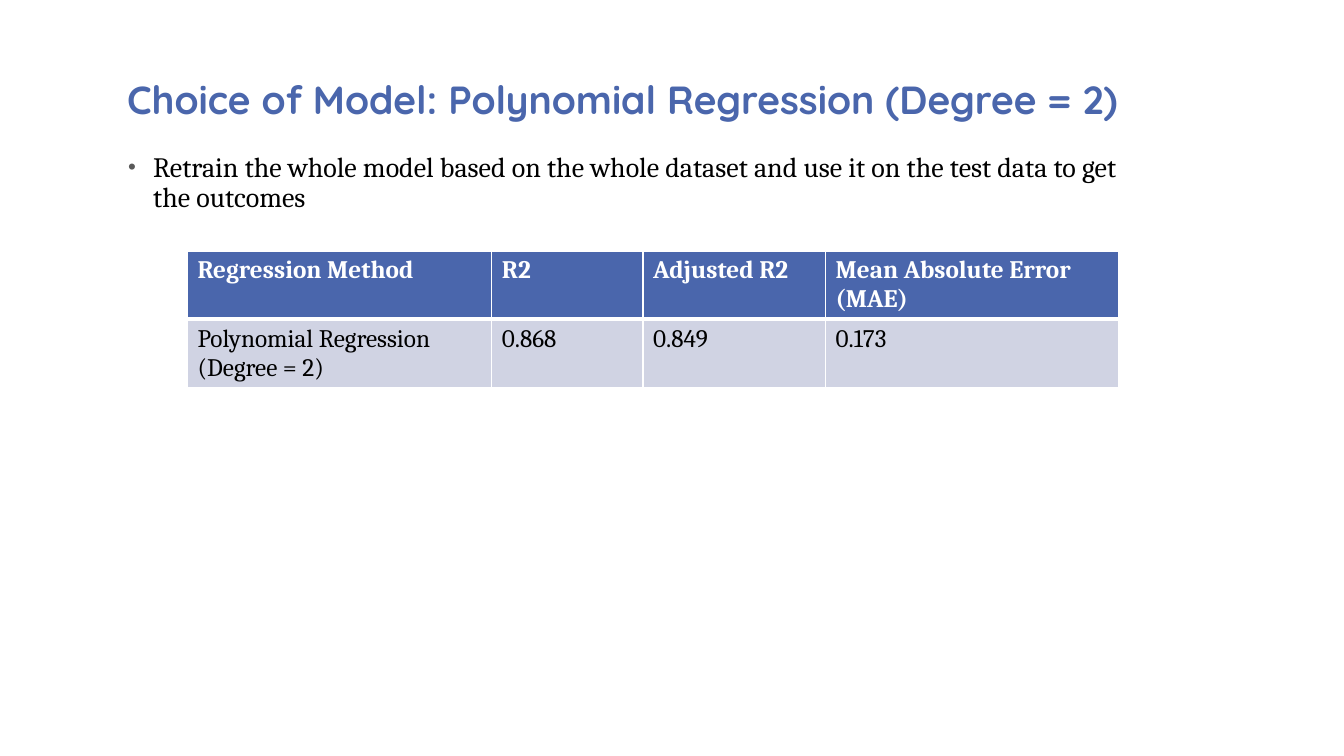
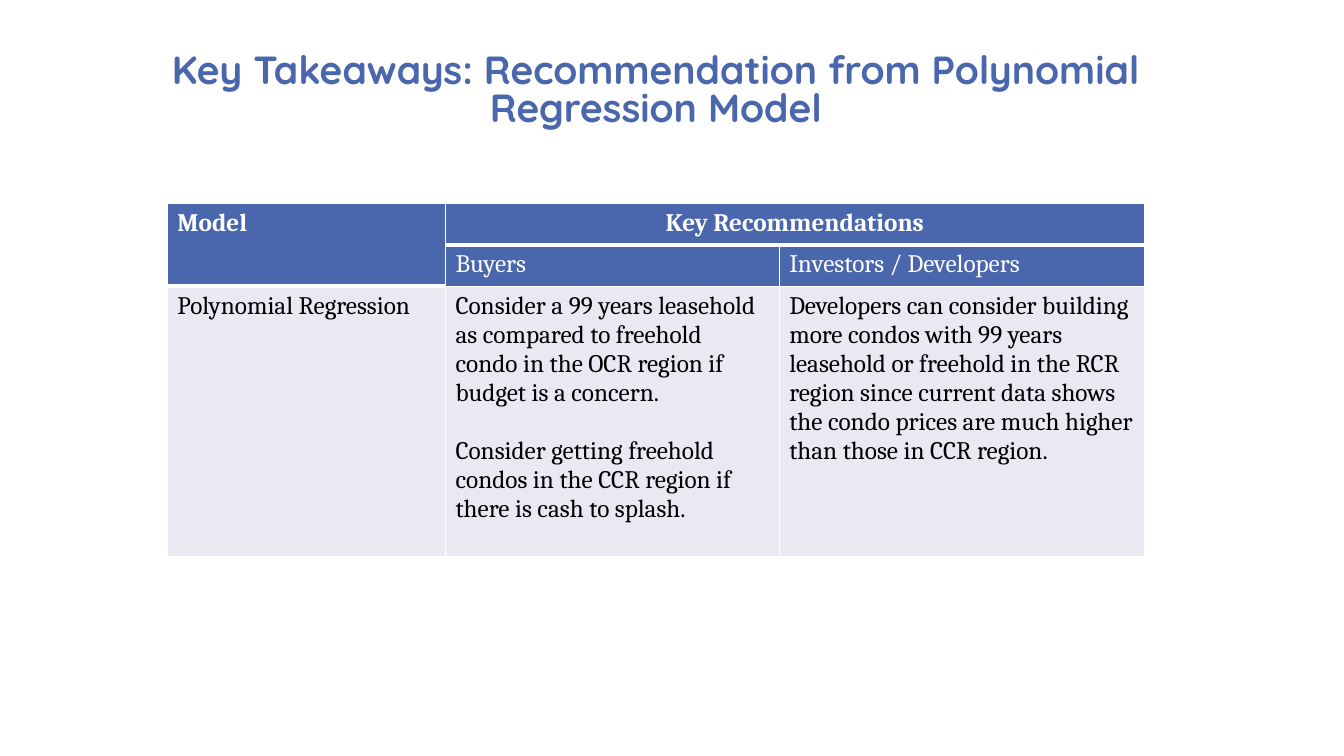
from lxml import etree
from pptx import Presentation
from pptx.dml.color import RGBColor
from pptx.enum.text import MSO_ANCHOR, MSO_AUTO_SIZE, PP_ALIGN
from pptx.oxml.ns import qn
from pptx.util import Inches, Pt

LEFT, CENTER = PP_ALIGN.LEFT, PP_ALIGN.CENTER
BOTTOM, TOP = MSO_ANCHOR.BOTTOM, MSO_ANCHOR.TOP
NO_FIT = MSO_AUTO_SIZE.NONE

COLORS = {
    "accent": "4A66AC",
    "white": "FFFFFF",
    "text": "000000",
    "bullet": "595959",
    "band_dark": "D0D3E3",
    "band_light": "E9EAF1",
}
TITLE = {"name": "Quicksand", "size": Pt(28), "bold": True}
BODY = {"name": "Cambria", "size": Pt(20), "bold": False}
CELL = {"name": "Cambria", "size": Pt(18), "bold": False}
HEADING = {**CELL, "bold": True}
THIN, THICK = Pt(1), Pt(3)

prs = Presentation()
prs.slide_width, prs.slide_height = Inches(13.33), Inches(7.5)
COL, ROW = prs.slide_width / 100, prs.slide_height / 100
TITLE_AND_CONTENT, TITLE_ONLY = prs.slide_layouts[1], prs.slide_layouts[5]


def style(paragraph, font_values, color, align=LEFT):
    paragraph.alignment = align
    for run in paragraph.runs:
        for attribute, value in font_values.items():
            setattr(run.font, attribute, value)
        run.font.color.rgb = RGBColor.from_string(COLORS[color])


def place(placeholder, box, text, anchor):
    """Put a placeholder at a box given in percent of the slide and fill in its text."""
    left, top, width, height = box
    placeholder.left, placeholder.top = int(left * COL), int(top * ROW)
    placeholder.width, placeholder.height = int(width * COL), int(height * ROW)
    frame = placeholder.text_frame
    frame.text = text
    frame.auto_size, frame.vertical_anchor = NO_FIT, anchor
    return frame.paragraphs[0]


# Boxes, columns and rows are in percent of the slide's width and height.
SLIDES = [
    {
        "layout": TITLE_AND_CONTENT,
        "title": "Choice of Model: Polynomial Regression (Degree = 2)",
        "title_box": (8.7, 7.73, 77.87, 9.07),
        "align": LEFT,
        "bullet": "Retrain the whole model based on the whole dataset and use it "
                  "on the test data to get the outcomes",
        "corner": (13.95, 33.2),
        "columns": (22.65, 11.25, 13.58, 21.83),
        "rows": (8.93, 8.93),
        "cells": [
            ["Regression Method", "R2", "Adjusted R2", "Mean Absolute Error\n(MAE)"],
            ["Polynomial Regression\n(Degree = 2)", "0.868", "0.849", "0.173"],
        ],
        "band": "band_dark",
        "header_rows": 1,
        "merges": [],
        "centered": [],
        "gap": Pt(0),
    },
    {
        "layout": TITLE_ONLY,
        "title": "Key Takeaways: Recommendation from Polynomial Regression Model",
        "title_box": (6.9, 6.53, 83.8, 11.33),
        "align": CENTER,
        "corner": (12.45, 26.93),
        "columns": (20.7, 24.83, 27.16),
        "rows": (5.47, 5.47, 35.73),
        "cells": [
            ["Model", "Key Recommendations", ""],
            ["", "Buyers", "Investors / Developers"],
            [
                "Polynomial Regression",
                "Consider a 99 years leasehold as compared to freehold condo in the "
                "OCR region if budget is a concern.\n"
                "Consider getting freehold condos in the CCR region if there is cash "
                "to splash.",
                "Developers can consider building more condos with 99 years leasehold "
                "or freehold in the RCR region since current data shows the condo "
                "prices are much higher than those in CCR region.",
            ],
        ],
        "band": "band_light",
        "header_rows": 2,
        "merges": [((0, 0), (1, 0)), ((0, 1), (0, 2))],
        "centered": ["Key Recommendations"],
        "gap": Pt(21),
    },
]

for content in SLIDES:
    slide = prs.slides.add_slide(content["layout"])
    heading = place(slide.shapes.title, content["title_box"], content["title"], BOTTOM)
    heading.line_spacing = 0.8
    style(heading, TITLE, "accent", content["align"])

    if "bullet" in content:
        point = place(slide.placeholders[1], (8.4, 19.6, 77.87, 10.53), content["bullet"], TOP)
        point.line_spacing, point.space_before = 0.9, Pt(0)
        properties = point._p.get_or_add_pPr()
        properties.set("marL", str(Inches(0.3)))
        properties.set("indent", str(Inches(-0.25)))
        bullet_color = etree.SubElement(properties, qn("a:buClr"))
        etree.SubElement(bullet_color, qn("a:srgbClr"), val=COLORS["bullet"])
        etree.SubElement(properties, qn("a:buSzPct"), val="80000")
        etree.SubElement(properties, qn("a:buChar"), char="•")
        style(point, BODY, "text")

    columns, rows = content["columns"], content["rows"]
    left, top = content["corner"]
    table = slide.shapes.add_table(
        len(rows), len(columns), int(left * COL), int(top * ROW),
        int(sum(columns) * COL), int(sum(rows) * ROW)).table
    table.first_row = table.horz_banding = False
    for column, share in zip(table.columns, columns):
        column.width = int(share * COL)
    for row, share in zip(table.rows, rows):
        row.height = int(share * ROW)
    for first, last in content["merges"]:
        table.cell(*first).merge(table.cell(*last))

    for r, texts in enumerate(content["cells"]):
        in_header = r < content["header_rows"]
        for c, text in enumerate(texts):
            cell = table.cell(r, c)
            cell.text = text
            cell.fill.solid()
            fill = "accent" if in_header else content["band"]
            cell.fill.fore_color.rgb = RGBColor.from_string(COLORS[fill])
            for number, paragraph in enumerate(cell.text_frame.paragraphs):
                style(paragraph, HEADING if r == 0 else CELL,
                      "white" if in_header else "text",
                      CENTER if text in content["centered"] else LEFT)
                if number:
                    paragraph.space_before = content["gap"]
            cell_properties = cell._tc.get_or_add_tcPr()
            for position, side in enumerate("LRTB"):
                width = THICK if r == 0 and side == "B" else THIN
                border = etree.Element(qn(f"a:ln{side}"), w=str(width))
                line_fill = etree.SubElement(border, qn("a:solidFill"))
                etree.SubElement(line_fill, qn("a:srgbClr"), val=COLORS["white"])
                cell_properties.insert(position, border)

prs.save("out.pptx")
